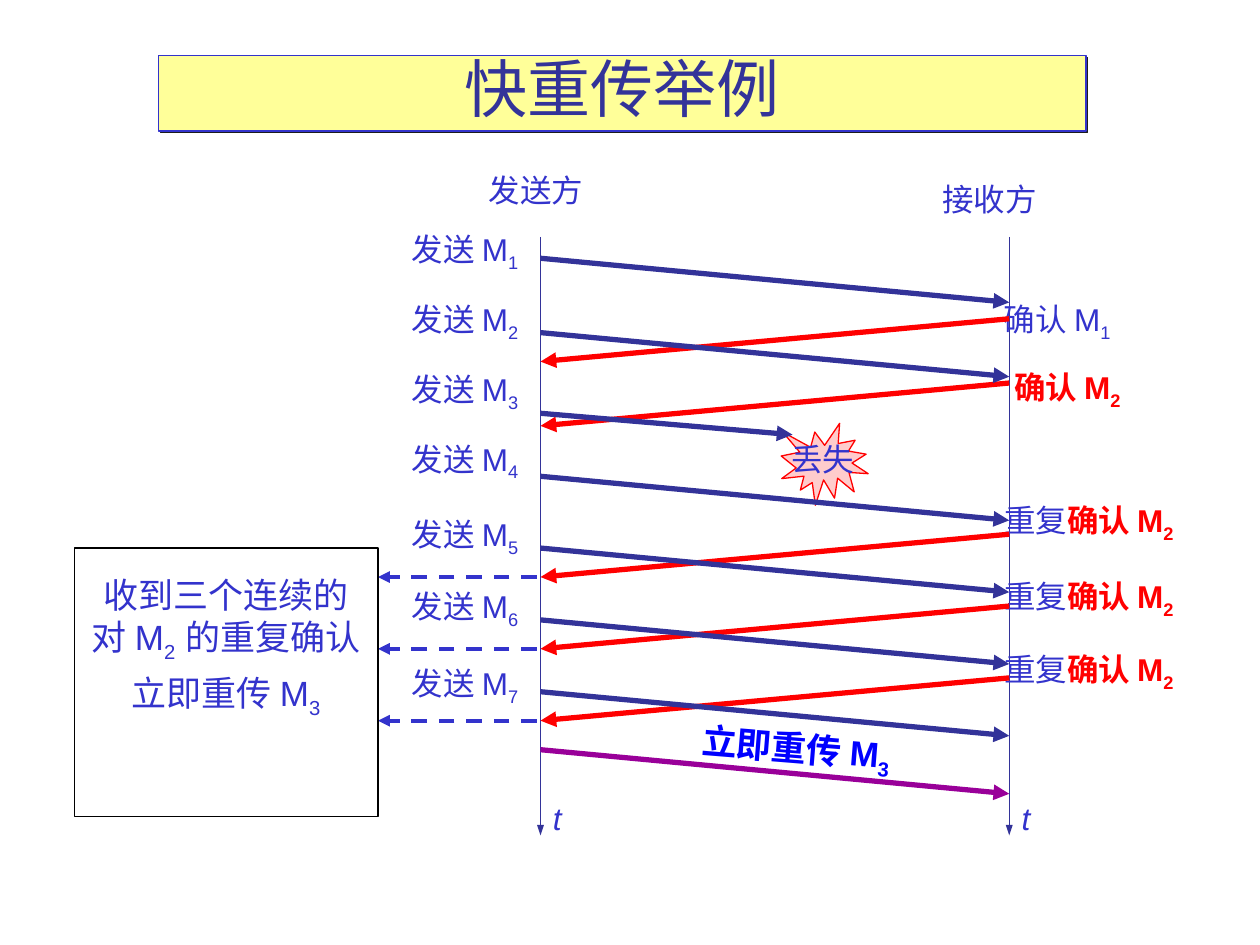
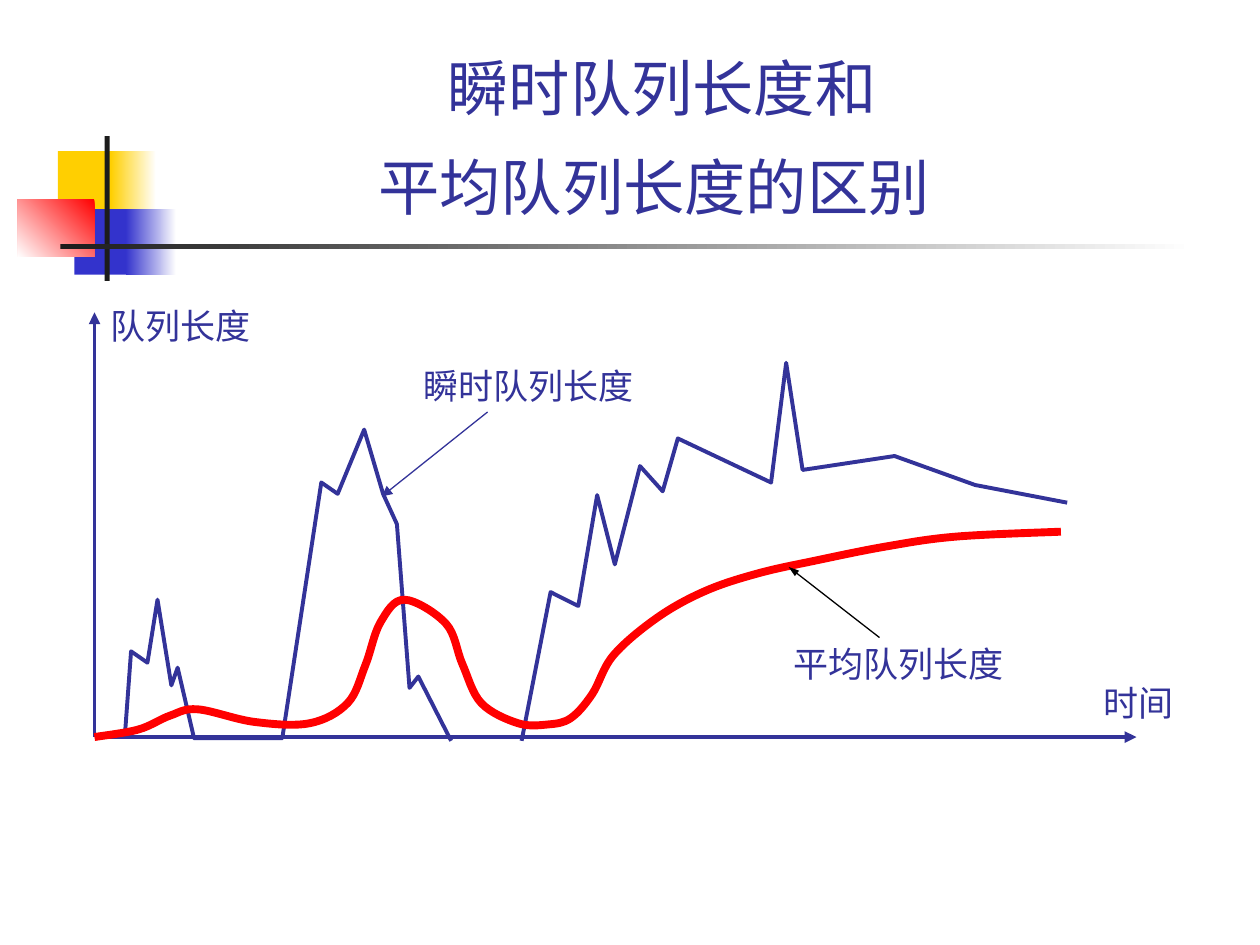
"""Build two slides: a fast retransmit timeline and a queue length plot."""
from lxml.etree import SubElement as Sub
from pptx import Presentation
from pptx.dml.color import RGBColor as RGB
from pptx.enum.dml import MSO_LINE as Dash
from pptx.enum.shapes import MSO_CONNECTOR as Link, MSO_SHAPE as Kind
from pptx.enum.text import MSO_ANCHOR as Anchor, MSO_AUTO_SIZE as Auto, PP_ALIGN as Align
from pptx.oxml.ns import qn
from pptx.util import Inches as In, Pt

WIDE, HIGH = 10, 7.5
HUE = {"navy": "333399", "blue": "3333CC", "vivid": "0000FF", "red": "FF0000",
       "plum": "990099", "pink": "FFCCCC", "pale": "FFFF99", "gold": "FFCF01",
       "ink": "1C1C1C", "black": "000000", "white": "FFFFFF"}

LOOK = {"base": dict(name="Arial", size=18, hue="blue"),
        "hot": dict(name="Arial", size=18, hue="red", bold=True),
        "time": dict(name="Arial", size=18, hue="blue", italic=True),
        "note": dict(name="Arial", size=20, hue="blue"),
        "again": dict(name="Arial", size=20, hue="vivid", bold=True),
        "plot": dict(name="Times New Roman", size=20, hue="navy"),
        "head": dict(name="Arial", size=36, hue="navy"),
        "duo": dict(name="Arial", size=35, hue="navy"),
        "end": dict(name="Arial", size=40, hue="navy")}

SEND, RECV, TOP, FOOT, DROP, BACK = 4.29, 8.01, 1.88, 6.63, 0.35, 0.34
ENDS = [("发送方", 3.78, 1.31), ("接收方", 7.38, 1.38)]
SENT = [(1.78, 2.05), (2.33, 2.64), (2.89, 3.28), (3.44, 3.78),
        (4.04, 4.35), (4.61, 4.92), (5.22, 5.49)]
LOST, STOP = 3, (6.29, 3.45)
ACKS = [(2.33, 2.53, 7.87, [("确认 M", "base"), ("1", "base", 1)]),
        (2.87, 3.04, 7.95, [("确认 M", "hot"), ("2", "hot", 1)])]
ACKS += [(top, y, 7.87, [("重复", "base"), ("确认 M", "hot"), ("2", "hot", 1)])
         for top, y in [(3.93, 4.24), (4.53, 4.81), (5.11, 5.38)]]
NOTE = [[("收到三个连续的", "note")],
        [("对 M", "note"), ("2", "note", 1), (" 的重复确认", "note")],
        [("立即重传 M", "note"), ("3", "note", 1)]]

BAND = [(0.46, 1.2, 0.48, 0.52, "gold", None), (0.88, 1.2, 0.36, 0.52, "gold", 0),
        (0.59, 1.66, 0.46, 0.52, "blue", None), (1, 1.66, 0.4, 0.52, "blue", 0),
        (0.14, 1.58, 0.61, 0.46, "red", 225), (0.83, 1.08, 0.04, 1.15, "ink", None),
        (0.48, 1.94, 9, 0.04, "ink", 0)]
TAGS = [("队列长度", 0.78, 2.37, 1.31), ("时间", 8.66, 5.36, 0.8),
        ("瞬时队列长度", 3.26, 2.84, 1.88), ("平均队列长度", 6.2, 5.05, 1.88)]
AXES = [((0.75, 5.85), (9.02, 5.85), "navy", 2.25), ((0.75, 5.85), (0.75, 2.48), "navy", 2.25)]
HINTS = [((3.87, 3.27), (3.03, 3.94), "navy", 0.75),
         ((6.98, 5.06), (6.26, 4.5), "black", 0.75, None, "sm")]
BURSTS = [
    [(0.99, 5.85), (1.04, 5.17), (1.17, 5.26), (1.25, 4.76), (1.36, 5.44), (1.41, 5.3),
     (1.54, 5.86), (2.24, 5.86), (2.55, 3.83), (2.68, 3.92), (2.89, 3.41), (3.04, 3.92),
     (3.15, 4.16), (3.25, 5.46), (3.32, 5.37), (3.58, 5.88)],
    [(4.14, 5.88), (4.37, 4.7), (4.59, 4.81), (4.74, 3.93), (4.88, 4.48), (5.08, 3.7),
     (5.26, 3.9), (5.38, 3.48), (6.12, 3.83), (6.24, 2.88), (6.37, 3.73), (7.1, 3.62),
     (7.74, 3.85), (8.47, 3.99)]]
MEAN = [(0.75, 5.85), (1.1, 5.79), (1.35, 5.68), (1.57, 5.63), (2.02, 5.73), (2.46, 5.74),
        (2.76, 5.58), (2.9, 5.28), (3.02, 4.94), (3.21, 4.76), (3.54, 4.95), (3.67, 5.27),
        (3.82, 5.58), (4.11, 5.74), (4.35, 5.75), (4.53, 5.7), (4.7, 5.51), (4.87, 5.2),
        (5.22, 4.9), (5.6, 4.69), (6.02, 4.55), (6.47, 4.45), (7.02, 4.34), (7.58, 4.26),
        (8.42, 4.22)]


def tint(name):
    return RGB.from_string(HUE[name])


def write(para, parts):
    for text, look, *sub in parts:
        run = para.add_run()
        run.text = text
        form = dict(LOOK[look])
        run.font.color.rgb = tint(form.pop("hue"))
        form["size"] = Pt(form["size"])
        for key, val in form.items():
            setattr(run.font, key, val)
        if sub:
            run.font._element.set("baseline", "-25000")


def label(slide, parts, x, y, wide, high=0.44, turn=0):
    box = slide.shapes.add_textbox(In(x), In(y), In(wide), In(high))
    box.rotation = turn
    frame = box.text_frame
    frame.word_wrap, frame.auto_size = False, Auto.SHAPE_TO_FIT_TEXT
    write(frame.paragraphs[0], parts)


def paint(shape, fill=None, edge=None, width=0.75):
    if fill:
        shape.fill.solid()
        shape.fill.fore_color.rgb = tint(fill)
    else:
        shape.fill.background()
    if edge:
        shape.line.color.rgb, shape.line.width = tint(edge), Pt(width)
    else:
        shape.line.fill.background()
    shape.shadow.inherit = False


def block(slide, kind, x, y, wide, high, **look):
    shape = slide.shapes.add_shape(kind, In(x), In(y), In(wide), In(high))
    paint(shape, **look)
    return shape


def arrow(slide, start, end, hue, width, dash=None, tip="med"):
    line = slide.shapes.add_connector(Link.STRAIGHT, *map(In, start + end))
    line.line.color.rgb, line.line.width = tint(hue), Pt(width)
    if dash:
        line.line.dash_style = dash
    Sub(line.line._get_or_add_ln(), qn("a:tailEnd"), type="triangle", w=tip)
    Sub(line._element.spPr, qn("a:effectLst"))


def trace(slide, dots, hue, width):
    dots = [(In(x), In(y)) for x, y in dots]
    pen = slide.shapes.build_freeform(*dots[0])
    pen.add_line_segments(dots[1:], close=False)
    shape = pen.convert_to_shape()
    paint(shape, edge=hue, width=width)
    return shape


def bend(shape):
    """Turn the straight segments of a freeform into smooth curves."""
    marks = list(shape._element.iter(qn("a:pt")))
    dots = [(int(m.get("x")), int(m.get("y"))) for m in marks]
    ring = [dots[0], *dots, dots[-1]]
    for mark, *quad in zip(marks[1:], ring, ring[1:], ring[2:], ring[3:]):
        step = mark.getparent()
        step.tag = qn("a:cubicBezTo")
        pairs = [(b + (c - a) / 6, c - (d - b) / 6) for a, b, c, d in zip(*quad)]
        for n, (x, y) in enumerate(zip(*pairs)):
            step.insert(n, Sub(step, qn("a:pt"), x=str(round(x)), y=str(round(y))))


def start(deck, spot, lines):
    slide = deck.slides.add_slide(deck.slide_layouts[5])
    title = slide.shapes.title
    for key, val in zip(("left", "top", "width", "height"), spot):
        setattr(title, key, In(val))
    frame = title.text_frame
    frame.auto_size, frame.vertical_anchor = Auto.NONE, Anchor.BOTTOM
    para = frame.paragraphs[0]
    para.alignment = Align.CENTER
    for n, parts in enumerate(lines):
        if n:
            para.add_line_break()
            size = LOOK[parts[0][1]]["size"]
            Sub(para._p[-1], qn("a:rPr"), sz=str(size * 100))
        write(para, parts)
    return slide, title


def timeline(deck):
    slide, title = start(deck, (1.26, 0.44, 7.36, 0.6), [[("快重传举例", "head")]])
    paint(title, "pale", "blue")
    glow = Sub(title._element.spPr.find(qn("a:effectLst")), qn("a:outerShdw"),
               dist=str(Pt(1.4)), dir="2700000", algn="ctr", rotWithShape="0")
    Sub(glow, qn("a:srgbClr"), val=HUE["ink"])
    for text, x, y in ENDS:
        label(slide, [(text, "base")], x, y, 0.96, 0.4)
    for x in (SEND, RECV):
        arrow(slide, (x, TOP), (x, FOOT), "navy", 0.75, tip="sm")
        label(slide, [("t", "time")], x, 6.29, 0.27, 0.4)
    for n, (top, y, x, parts) in enumerate(ACKS):
        label(slide, parts, x, top, 1.24 if n < 2 else 1.78)
        arrow(slide, (RECV, y), (SEND, y + BACK), "red", 3)
        if n > 1:
            arrow(slide, (4.26, y + BACK), (3, y + BACK), "blue", 2.25, Dash.DASH)
    block(slide, Kind.EXPLOSION1, 6.2, 3.36, 0.69, 0.65, fill="pink", edge="red")
    label(slide, [("丢失", "base")], 6.18, 3.44, 0.7, 0.4)
    for n, (top, y) in enumerate(SENT, 1):
        label(slide, [("发送 M", "base"), (str(n), "base", 1)], 3.17, top, 1.17)
        arrow(slide, (SEND, y), STOP if n == LOST else (RECV, y + DROP), "navy", 3)
    arrow(slide, (SEND, 5.95), (RECV, 5.95 + DROP), "plum", 3)
    label(slide, [("立即重传 M", "again"), ("3", "again", 1)], 5.47, 5.72, 1.84, 0.48, 4.6)
    frame = block(slide, Kind.RECTANGLE, 0.59, 4.35, 2.41, 2.13, edge="black").text_frame
    frame.word_wrap, frame.vertical_anchor, frame.margin_top = True, Anchor.TOP, In(0.2)
    for n, parts in enumerate(NOTE):
        para = frame.add_paragraph() if n else frame.paragraphs[0]
        para.alignment = Align.CENTER
        write(para, parts)
    para.space_before = Pt(5)


def queue(deck):
    slide, title = start(deck, (1.26, 0.23, 7.99, 1.6), [
        [("瞬时队列长度和", "duo")], [("平均队列长度的区别", "duo"), (" ", "end")]])
    title.text_frame.paragraphs[0].line_spacing = 1.2
    for *spot, hue, turn in BAND:
        bar = block(slide, Kind.RECTANGLE, *spot, fill=hue)
        if turn is not None:
            bar.fill.gradient()
            bar.fill.gradient_angle = turn
            for stop, name in zip(bar.fill.gradient_stops, (hue, "white")):
                stop.color.rgb = tint(name)
    for text, *spot in TAGS:
        label(slide, [(text, "plot")], *spot)
    for axis in AXES:
        arrow(slide, *axis)
    for dots in BURSTS:
        trace(slide, dots, "navy", 2.25)
    bend(trace(slide, MEAN, "red", 4.5))
    for hint in HINTS:
        arrow(slide, *hint)


def main():
    deck = Presentation()
    deck.slide_width, deck.slide_height = In(WIDE), In(HIGH)
    timeline(deck)
    queue(deck)
    deck.save("out.pptx")


if __name__ == "__main__":
    main()
